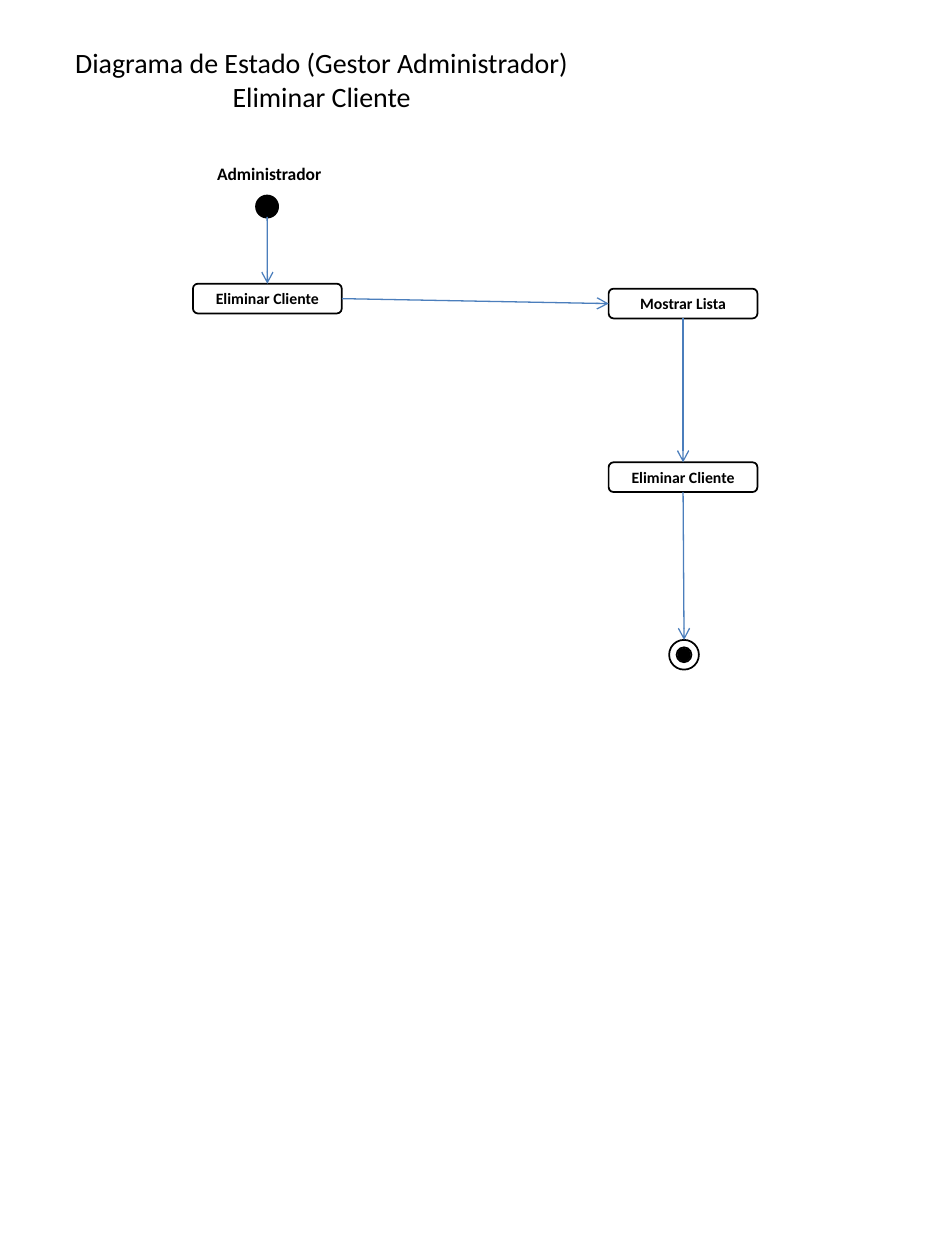
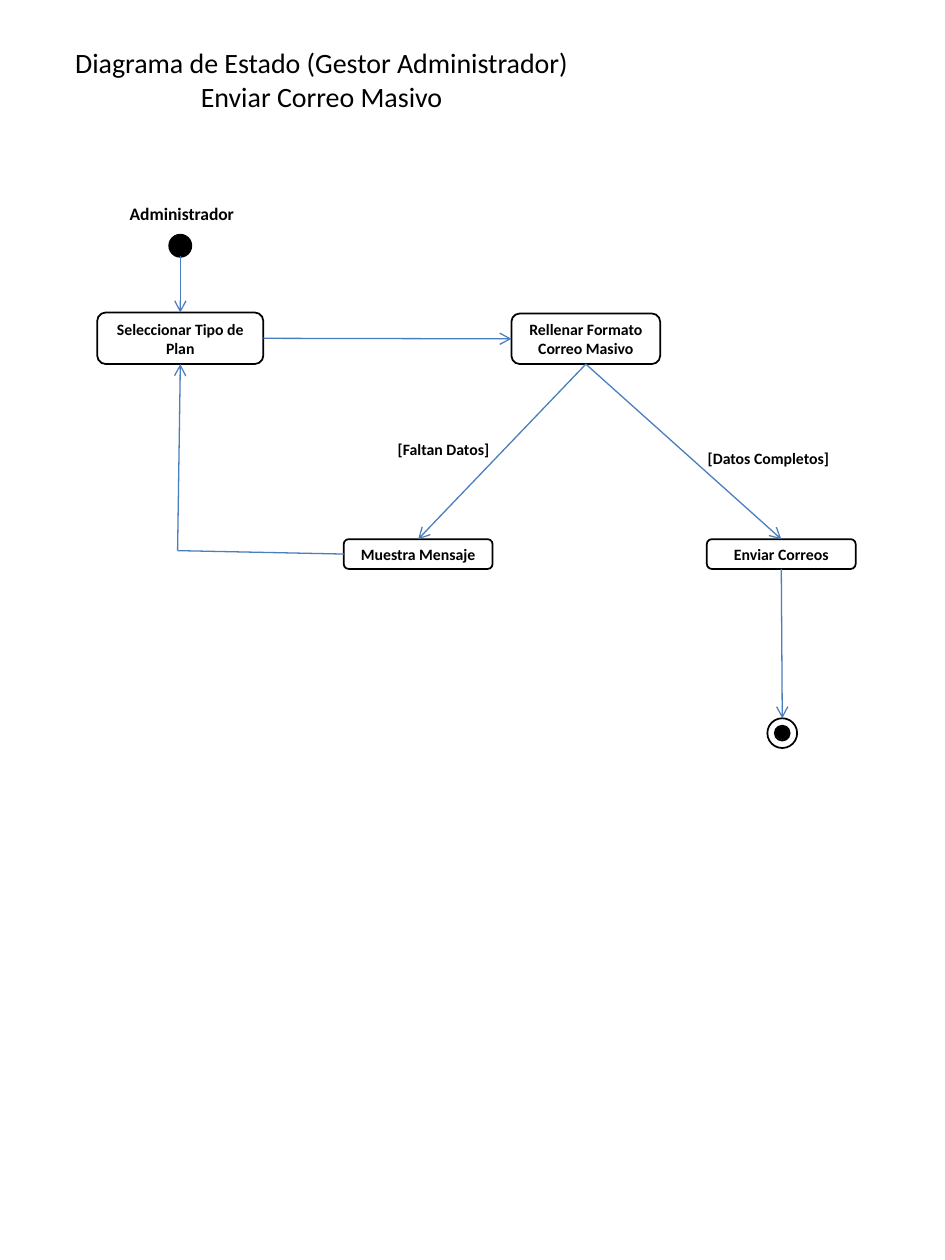
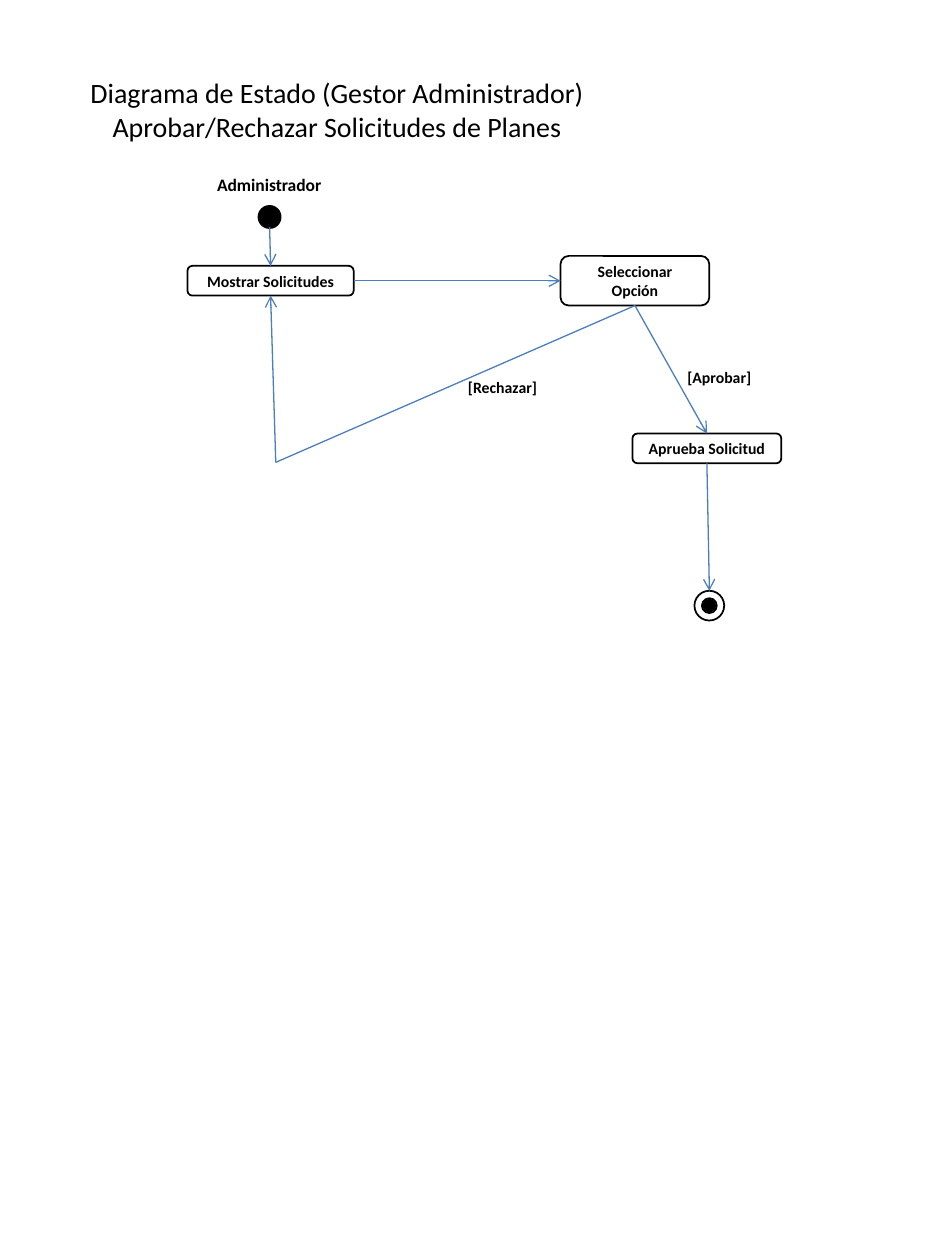
import dataclasses
import enum
import typing

import lxml.etree
import pptx
import pptx.dml.color
import pptx.enum.shapes
import pptx.enum.text
import pptx.oxml.ns
import pptx.util

Cm = pptx.util.Cm
Pt = pptx.util.Pt
Geometry = pptx.enum.shapes.MSO_SHAPE
Anchor = pptx.enum.text.MSO_ANCHOR
AutoSize = pptx.enum.text.MSO_AUTO_SIZE

BLACK = pptx.dml.color.RGBColor(0x00, 0x00, 0x00)
WHITE = pptx.dml.color.RGBColor(0xFF, 0xFF, 0xFF)
FLOW_BLUE = pptx.dml.color.RGBColor(0x4B, 0x7E, 0xBC)
FONT = "Calibri"
HEADING = "Diagrama de Estado (Gestor Administrador)"
ACTOR = "Administrador"

TITLE_WIDTH = 11.81
START_SIZE = 0.41
ACTOR_WIDTH, ACTOR_HEIGHT, ACTOR_RISE = 4.19, 0.69, 0.79
END_SIZE, END_DOT_SIZE = 0.6, 0.2
GUARD_WIDTH, GUARD_HEIGHT = 3.6, 0.64


class Side(enum.IntEnum):
    TOP = 0
    LEFT = 1
    BOTTOM = 2
    RIGHT = 3


class Point(typing.NamedTuple):
    x: float
    y: float


@dataclasses.dataclass
class Title:
    subject: str
    left: float
    top: float
    height: float


@dataclasses.dataclass
class Start:
    left: float
    top: float
    actor_left: float


@dataclasses.dataclass
class State:
    key: str
    text: str
    left: float
    top: float
    width: float = 3.0
    height: float = 0.6


@dataclasses.dataclass
class Guard:
    text: str
    left: float
    top: float


@dataclasses.dataclass
class Flow:
    source: str
    leaving: Side
    target: str
    entering: Side
    corner: typing.Optional[Point] = None


@dataclasses.dataclass
class Diagram:
    title: Title
    start: Start
    end: Point
    states: list[State]
    flows: list[Flow]
    guards: list[Guard] = dataclasses.field(default_factory=list)


def format_text(frame, size: float, bold: bool) -> None:
    frame.word_wrap = True
    for paragraph in frame.paragraphs:
        paragraph.alignment = pptx.enum.text.PP_ALIGN.CENTER
        paragraph.font.name = FONT
        paragraph.font.size = Pt(size)
        paragraph.font.bold = bold
        paragraph.font.color.rgb = BLACK


def draw_title(slide, title: Title) -> None:
    heading = slide.shapes.title
    heading.left, heading.top = Cm(title.left), Cm(title.top)
    heading.width, heading.height = Cm(TITLE_WIDTH), Cm(title.height)
    frame = heading.text_frame
    frame.text = f"{HEADING}\n{title.subject}"
    frame.vertical_anchor = Anchor.TOP
    frame.auto_size = AutoSize.NONE
    format_text(frame, 16, False)


def draw_label(slide, text: str, left: float, top: float,
               width: float, height: float, size: float) -> None:
    label = slide.shapes.add_textbox(Cm(left), Cm(top), Cm(width), Cm(height))
    label.text_frame.text = text
    label.text_frame.auto_size = AutoSize.SHAPE_TO_FIT_TEXT
    format_text(label.text_frame, size, True)


def draw_outline(shapes, geometry, left: float, top: float, width: float,
                 height: float, fill, line_width: float):
    outline = shapes.add_shape(geometry, Cm(left), Cm(top), Cm(width), Cm(height))
    outline.shadow.inherit = False
    outline.fill.solid()
    outline.fill.fore_color.rgb = fill
    outline.line.color.rgb = BLACK
    outline.line.width = Pt(line_width)
    return outline


def draw_start(slide, start: Start):
    draw_label(slide, ACTOR, start.actor_left, start.top - ACTOR_RISE,
               ACTOR_WIDTH, ACTOR_HEIGHT, 10)
    return draw_outline(slide.shapes, Geometry.FLOWCHART_CONNECTOR, start.left,
                        start.top, START_SIZE, START_SIZE, BLACK, 2)


def draw_end(slide, end: Point):
    marker = slide.shapes.add_group_shape().shapes
    inset = (END_SIZE - END_DOT_SIZE) / 2
    draw_outline(marker, Geometry.FLOWCHART_CONNECTOR, end.x + inset, end.y + inset,
                 END_DOT_SIZE, END_DOT_SIZE, BLACK, 2)
    return draw_outline(marker, Geometry.DONUT, end.x, end.y,
                        END_SIZE, END_SIZE, WHITE, 1)


def draw_state(slide, state: State):
    box = draw_outline(slide.shapes, Geometry.FLOWCHART_ALTERNATE_PROCESS, state.left,
                       state.top, state.width, state.height, WHITE, 1)
    frame = box.text_frame
    frame.text = state.text
    frame.margin_top = frame.margin_bottom = 0
    frame.vertical_anchor = Anchor.MIDDLE
    format_text(frame, 9, True)
    return box


def edge_point(shape, side: Side) -> tuple[int, int]:
    across = {Side.LEFT: 0, Side.RIGHT: 2}.get(side, 1)
    down = {Side.TOP: 0, Side.BOTTOM: 2}.get(side, 1)
    return shape.left + shape.width * across // 2, shape.top + shape.height * down // 2


def draw_line(slide, begin: tuple[int, int], finish: tuple[int, int], arrow: bool):
    line = slide.shapes.add_connector(
        pptx.enum.shapes.MSO_CONNECTOR.STRAIGHT, *begin, *finish)
    line.line.color.rgb = FLOW_BLUE
    line.line.width = Pt(0.75)
    properties = line.element.spPr
    qn = pptx.oxml.ns.qn
    if arrow:
        lxml.etree.SubElement(properties.find(qn("a:ln")), qn("a:tailEnd"), type="arrow")
    lxml.etree.SubElement(properties, qn("a:effectLst"))
    return line


def draw_flow(slide, flow: Flow, nodes: dict) -> None:
    source, target = nodes[flow.source], nodes[flow.target]
    points = [edge_point(source, flow.leaving), edge_point(target, flow.entering)]
    if flow.corner:
        points.insert(1, (Cm(flow.corner.x), Cm(flow.corner.y)))
    last = len(points) - 2
    lines = [draw_line(slide, points[i], points[i + 1], i == last)
             for i in range(last + 1)]
    if flow.source != "inicio":
        lines[0].begin_connect(source, flow.leaving)
    lines[-1].end_connect(target, flow.entering)


def draw_diagram(presentation, diagram: Diagram) -> None:
    slide = presentation.slides.add_slide(presentation.slide_layouts[5])
    draw_title(slide, diagram.title)
    nodes = {"fin": draw_end(slide, diagram.end),
             "inicio": draw_start(slide, diagram.start)}
    for state in diagram.states:
        nodes[state.key] = draw_state(slide, state)
    for guard in diagram.guards:
        draw_label(slide, guard.text, guard.left, guard.top,
                   GUARD_WIDTH, GUARD_HEIGHT, 9)
    for flow in diagram.flows:
        draw_flow(slide, flow, nodes)


DIAGRAMS = [
    Diagram(
        Title("Eliminar Cliente", 0.58, 0.79, 1.57),
        Start(5.18, 3.96, 3.33),
        Point(13.49, 12.9),
        [State("solicitar", "Eliminar Cliente", 3.89, 5.72),
         State("lista", "Mostrar Lista", 12.27, 5.82),
         State("eliminar", "Eliminar Cliente", 12.27, 9.32)],
        [Flow("inicio", Side.BOTTOM, "solicitar", Side.TOP),
         Flow("solicitar", Side.RIGHT, "lista", Side.LEFT),
         Flow("lista", Side.BOTTOM, "eliminar", Side.TOP),
         Flow("eliminar", Side.BOTTOM, "fin", Side.TOP)],
    ),
    Diagram(
        Title("Enviar Correo Masivo", 0.58, 0.79, 1.12),
        Start(3.43, 4.75, 1.57),
        Point(15.47, 14.48),
        [State("plan", "Seleccionar Tipo de Plan", 1.96, 6.3, 3.35, 1.04),
         State("formato", "Rellenar Formato Correo Masivo", 10.31, 6.32, height=1.02),
         State("mensaje", "Muestra Mensaje", 6.93, 10.87),
         State("enviar", "Enviar Correos", 14.25, 10.87)],
        [Flow("inicio", Side.BOTTOM, "plan", Side.TOP),
         Flow("plan", Side.RIGHT, "formato", Side.LEFT),
         Flow("formato", Side.BOTTOM, "mensaje", Side.TOP),
         Flow("formato", Side.BOTTOM, "enviar", Side.TOP),
         Flow("mensaje", Side.LEFT, "plan", Side.BOTTOM, Point(3.58, 11.1)),
         Flow("enviar", Side.BOTTOM, "fin", Side.TOP)],
        [Guard("[Datos Completos]", 13.69, 8.92),
         Guard("[Faltan Datos]", 7.14, 8.74)],
    ),
    Diagram(
        Title("Aprobar/Rechazar Solicitudes de Planes", 0.89, 1.4, 1.78),
        Start(5.23, 4.17, 3.33),
        Point(14.0, 11.91),
        [State("solicitudes", "Mostrar Solicitudes", 3.78, 5.36, 3.35),
         State("opcion", "Seleccionar Opción", 11.3, 5.16, height=1.0),
         State("aprueba", "Aprueba Solicitud", 12.75, 8.74)],
        [Flow("inicio", Side.BOTTOM, "solicitudes", Side.TOP),
         Flow("solicitudes", Side.RIGHT, "opcion", Side.LEFT),
         Flow("opcion", Side.BOTTOM, "aprueba", Side.TOP),
         Flow("opcion", Side.BOTTOM, "solicitudes", Side.BOTTOM, Point(5.56, 9.32)),
         Flow("aprueba", Side.BOTTOM, "fin", Side.TOP)],
        [Guard("[Aprobar]", 12.7, 7.29),
         Guard("[Rechazar]", 8.33, 7.49)],
    ),
]

presentation = pptx.Presentation()
presentation.slide_width, presentation.slide_height = Cm(19.05), Cm(25.4)
for diagram in DIAGRAMS:
    draw_diagram(presentation, diagram)
presentation.save("out.pptx")
